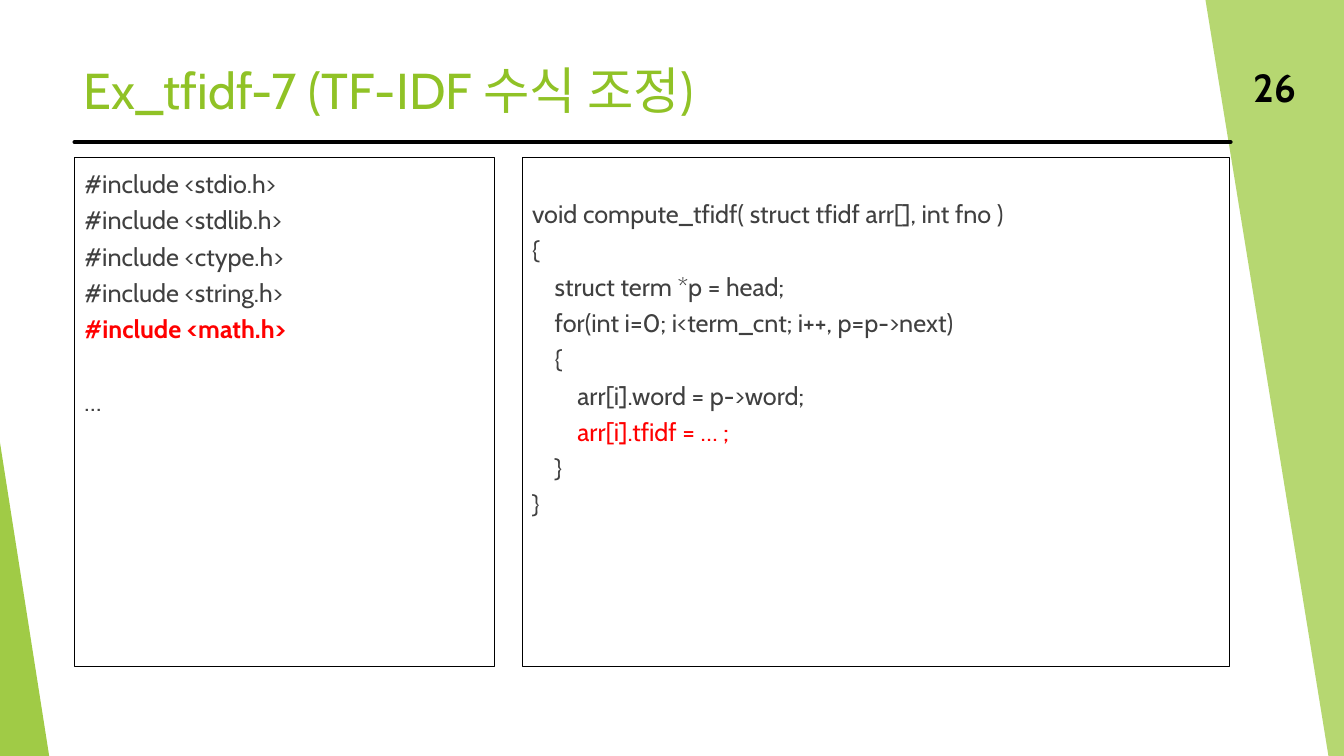
from pptx import Presentation
from pptx.dml.color import RGBColor as Rgb
from pptx.enum.shapes import MSO_CONNECTOR as Conn, MSO_SHAPE as Kind
from pptx.enum.text import MSO_ANCHOR as Anchor, MSO_AUTO_SIZE as Fit, PP_ALIGN as Align
from pptx.oxml.ns import qn
from pptx.util import Cm, Pt
from lxml.etree import SubElement as Sub

HEX = {"green": "90C226", "grey": "404040", "red": "FF0000", "black": "000000"}
WIDTH, HEIGHT = 33.87, 19.05


class Deck:
    font = "Cabin"

    def __init__(self):
        self.prs = Presentation()
        self.prs.slide_width, self.prs.slide_height = Cm(WIDTH), Cm(HEIGHT)
        self.slide = self.prs.slides.add_slide(self.prs.slide_layouts[5])
        self.shapes = self.slide.shapes

    def color(self, name):
        return Rgb.from_string(HEX[name])

    def run(self, para, text, size, color, bold=False):
        run = para.add_run()
        run.text = text
        font = run.font
        font.name, font.size, font.bold = self.font, Pt(size), bold
        font.color.rgb = self.color(color)

    def frame(self, shape, anchor):
        frame = shape.text_frame
        frame.word_wrap, frame.auto_size = True, Fit.NONE
        frame.vertical_anchor = anchor
        return frame

    def title(self, text, x, y, w, h):
        shape = self.shapes.title
        shape.left, shape.top, shape.width, shape.height = map(Cm, (x, y, w, h))
        para = self.frame(shape, Anchor.MIDDLE).paragraphs[0]
        para.alignment = Align.LEFT
        self.run(para, text, 36, "green")

    def label(self, text, x, y, w, h):
        box = self.shapes.add_textbox(*map(Cm, (x, y, w, h)))
        para = self.frame(box, Anchor.MIDDLE).paragraphs[0]
        para.alignment = Align.RIGHT
        self.run(para, text, 28, "black", True)

    def tint(self, shape, alpha):
        shape.shadow.inherit = False
        shape.fill.solid()
        shape.fill.fore_color.rgb = self.color("green")
        shape.line.fill.background()
        tone = shape.fill._xPr.find(".//" + qn("a:srgbClr"))
        Sub(tone, qn("a:alpha")).set("val", str(alpha * 1000))

    def wedge(self, points, alpha):
        start, *rest = [(Cm(x), Cm(y)) for x, y in points]
        form = self.shapes.build_freeform(*start)
        form.add_line_segments(rest)
        self.tint(form.convert_to_shape(), alpha)

    def corner(self, x, y, w, h, alpha):
        shape = self.shapes.add_shape(Kind.ISOSCELES_TRIANGLE, *map(Cm, (x, y, w, h)))
        shape.adjustments[0] = 0
        self.tint(shape, alpha)

    def rule(self, x, y, end):
        line = self.shapes.add_connector(Conn.STRAIGHT, Cm(x), Cm(y), Cm(end), Cm(y))
        line.line.color.rgb = self.color("black")
        line.line.width = Pt(3)
        line.line._get_or_add_ln().set("cap", "rnd")
        Sub(line._element.spPr, qn("a:effectLst"))

    def panel(self, lines, x, y, w, h, inset=0.13):
        shape = self.shapes.add_shape(Kind.RECTANGLE, *map(Cm, (x, y, w, h)))
        shape.shadow.inherit = False
        shape.fill.background()
        shape.line.color.rgb = self.color("black")
        shape.line.width = Pt(0.75)
        frame = self.frame(shape, Anchor.TOP)
        frame.margin_top = Cm(inset)
        for i, (text, color, bold, gap) in enumerate(lines):
            para = frame.add_paragraph() if i else frame.paragraphs[0]
            para.alignment, para.line_spacing = Align.LEFT, 1.2
            para.space_before = Pt(gap)
            self.run(para, text, 18, color, bold)


def plain(*texts):
    return [(text, "grey", False, 0) for text in texts]


def main():
    deck = Deck()
    deck.wedge([(30.38, 0), (WIDTH, 0), (WIDTH, HEIGHT), (33.48, HEIGHT)], 65)
    deck.corner(0, 11.15, 1.24, 7.9, 85)
    deck.rule(1.88, 3.58, 31.01)
    deck.title("Ex_tfidf-7 (TF-IDF 수식 조정)", 1.85, 1.24, 28.24, 2.03)

    heads = plain(*(f"#include <{lib}.h>" for lib in ("stdio", "stdlib", "ctype", "string")))
    heads += [("#include <math.h>", "red", True, 0), ("…", "grey", False, 26)]
    body = plain(
        "void compute_tfidf( struct tfidf arr[], int fno )",
        "{",
        "    struct term *p = head;",
        "    for(int i=0; i<term_cnt; i++, p=p->next)",
        "    {",
        "        arr[i].word = p->word;",
    )
    body += [("        arr[i].tfidf = … ;", "red", False, 0)]
    body += plain("    }", "}")
    deck.panel(heads, 1.88, 3.96, 10.59, 12.83)
    deck.panel(body, 13.16, 3.96, 17.83, 12.83, 0.89)
    deck.label("26", 31.01, 1.68, 1.9, 1.02)
    deck.prs.save("out.pptx")


if __name__ == "__main__":
    main()
